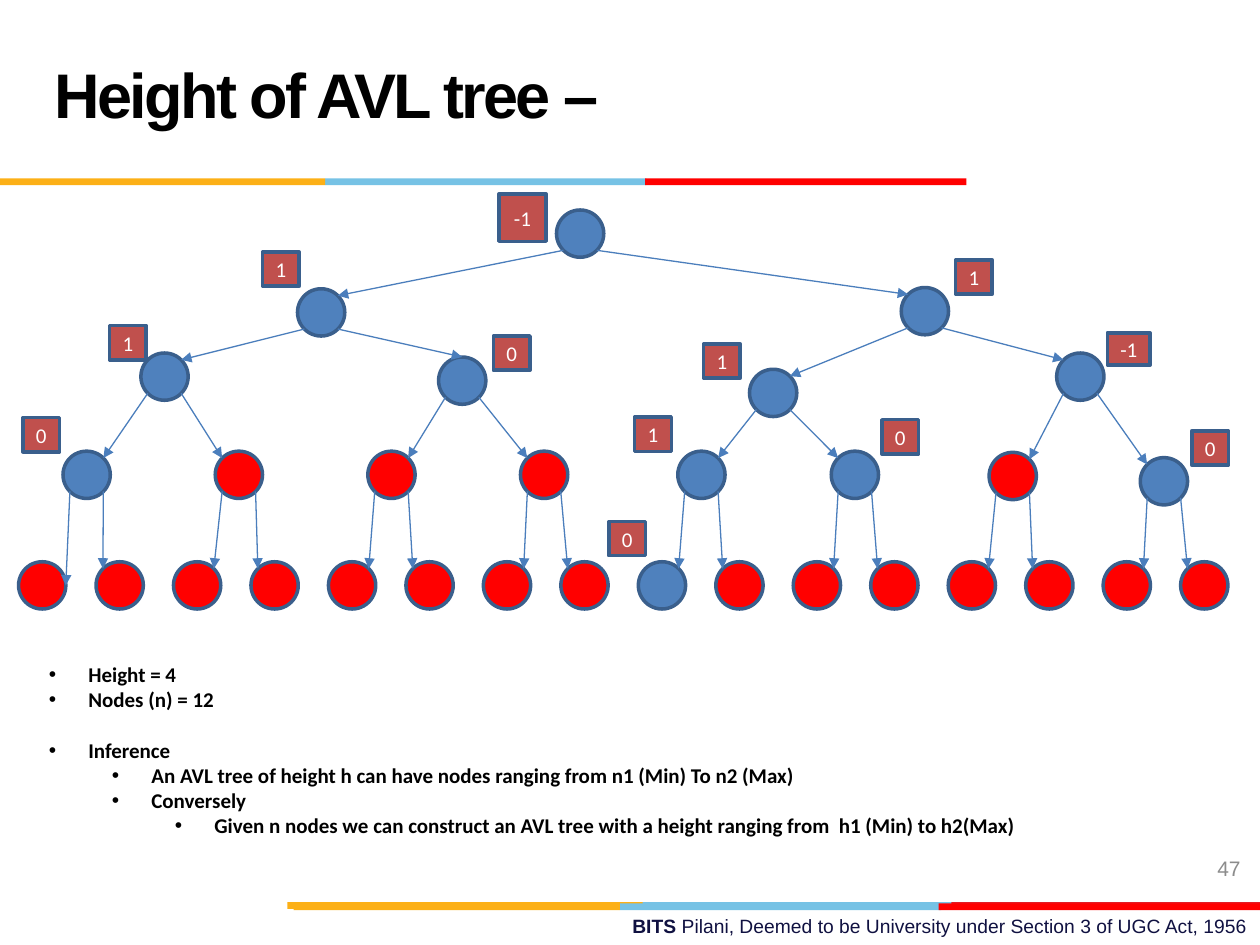
from dataclasses import dataclass

from lxml import etree
from pptx import Presentation
from pptx.dml.color import RGBColor
from pptx.enum.dml import MSO_LINE
from pptx.enum.shapes import MSO_CONNECTOR, MSO_SHAPE
from pptx.enum.text import MSO_ANCHOR, PP_ALIGN
from pptx.oxml.ns import qn
from pptx.util import Pt

CIRCLE, RECT = MSO_SHAPE.FLOWCHART_CONNECTOR, MSO_SHAPE.RECTANGLE
STRAIGHT, SOLID = MSO_CONNECTOR.STRAIGHT, MSO_LINE.SOLID
LEFT, CENTER, RIGHT = PP_ALIGN.LEFT, PP_ALIGN.CENTER, PP_ALIGN.RIGHT
TOP, MIDDLE = MSO_ANCHOR.TOP, MSO_ANCHOR.MIDDLE

COLORS = {
    "present": "4F81BD", "absent": "FF0000", "outline": "3A5F8C",
    "edge": "4B7EBC", "balance": "C0504D", "white": "FFFFFF",
    "black": "000000", "navy": "101141", "grey": "8C8C8C",
    "gold": "FCB017", "sky": "76C2E5", "red": "FF0000", "crimson": "E31C24",
}
FORMATS = {
    "title": {"name": "Arial", "size": Pt(36), "bold": True},
    "footer": {"name": "Arial", "size": Pt(11), "bold": False},
    "number": {"name": "Arial", "size": Pt(12), "bold": False},
    "notes": {"name": "Calibri", "size": Pt(12), "bold": True},
    "balance": {"name": "Calibri", "size": Pt(12), "bold": False},
}
NODE_SIZE = 27
CORNER_INSET = NODE_SIZE * (1 - 0.5 ** 0.5) / 2
BAR_HEIGHT = 3.9
BULLET_HANG = 22.5
LEVEL_STEP = 36


@dataclass
class Bar:
    left: float
    top: float
    width: float
    color: str


@dataclass
class Node:
    left: float
    top: float
    color: str = "present"

    def corner(self, right: bool, bottom: bool) -> tuple[float, float]:
        """Point on the circle's diagonal."""
        far = NODE_SIZE - CORNER_INSET
        return (self.left + (far if right else CORNER_INSET),
                self.top + (far if bottom else CORNER_INSET))


@dataclass
class Balance:
    factor: str
    left: float
    top: float
    width: float = 21
    height: float = 19.6


@dataclass
class Note:
    text: str
    level: int = 0
    space_before: float = 0


BARS = [
    Bar(364.3, 515.5, 183.6, "sky"), Bar(543.6, 515.5, 176.4, "crimson"),
    Bar(164.2, 515.5, 203, "gold"),
    Bar(354.2, 516.2, 183.6, "sky"), Bar(167.8, 516.2, 186.4, "gold"),
    Bar(536.4, 516.2, 183.6, "red"),
    Bar(185.8, 101.9, 183.6, "sky"), Bar(0, 101.9, 185.8, "gold"),
    Bar(368.6, 101.9, 183.6, "red"),
]
TREE = [
    [Node(318, 120)],
    [Node(170, 165), Node(515, 164.3)],
    [Node(80.5, 201.7), Node(250.6, 204), Node(428.3, 211), Node(603.8, 201.7)],
    [Node(36, 257.8), Node(123, 257.8, "absent"), Node(210.2, 257.8, "absent"),
     Node(297.4, 257.8, "absent"), Node(387.3, 257.8), Node(475, 257.8),
     Node(565.2, 258.5, "absent"), Node(651.6, 261.5)],
    [Node(10.6 + 44.27 * k, 321, "present" if k == 8 else "absent")
     for k in range(16)],
]
# Arrows that end at the middle of a side instead of a corner: (level, index)
SIDE_ENDS = {(2, 1): (0.5, 0), (4, 0): (1, 0.5)}
BALANCES = [
    Balance("0", 13.1, 238.6), Balance("0", 347.9, 298),
    Balance("0", 503.9, 239.8), Balance("0", 681, 246.2),
    Balance("1", 62.6, 186), Balance("1", 362.6, 238.4),
    Balance("0", 281.9, 192), Balance("1", 150, 144),
    Balance("1", 402, 196.5), Balance("1", 546, 148.5),
    Balance("-1", 632.8, 190.2, 24.5, 18.4),
    Balance("-1", 285, 110.9, 27, 27),
]
NOTES = [
    Note("Height = 4"), Note("Nodes (n) = 12"),
    Note("Inference", space_before=14.6),
    Note("An AVL tree of height h can have nodes ranging from n1 (Min) To n2 (Max)", 1),
    Note("Conversely", 1),
    Note("Given n nodes we can construct an AVL tree with a height ranging from  h1 (Min) to h2(Max)", 2),
]


def rgb(color: str) -> RGBColor:
    return RGBColor.from_string(COLORS[color])


def style_font(font, style: str, color: str) -> None:
    for attribute, value in FORMATS[style].items():
        setattr(font, attribute, value)
    font.color.rgb = rgb(color)


def add_filled(slide, preset, left, top, width, height, color, outlined=True):
    shape = slide.shapes.add_shape(preset, Pt(left), Pt(top), Pt(width), Pt(height))
    shape.shadow.inherit = False
    shape.fill.solid()
    shape.fill.fore_color.rgb = rgb(color)
    if outlined:
        shape.line.color.rgb = rgb("outline")
        shape.line.width = Pt(2)
    else:
        shape.line.fill.background()
    return shape


def add_text(slide, left, top, width, height, anchor=TOP, align=LEFT):
    """Add a wrapping text box and return its frame."""
    frame = slide.shapes.add_textbox(Pt(left), Pt(top), Pt(width), Pt(height)).text_frame
    frame.word_wrap = True
    frame.vertical_anchor = anchor
    frame.paragraphs[0].alignment = align
    return frame


def add_run(paragraph, text: str, style: str, color: str):
    run = paragraph.add_run()
    run.text = text
    style_font(run.font, style, color)
    return run


def add_edge(slide, start: tuple[float, float], end: tuple[float, float]) -> None:
    edge = slide.shapes.add_connector(STRAIGHT, *(Pt(v) for v in (*start, *end)))
    edge.line.color.rgb = rgb("edge")
    edge.line.width = Pt(0.75)
    edge.line.dash_style = SOLID
    properties = edge._element.spPr
    etree.SubElement(properties.find(qn("a:ln")), qn("a:tailEnd"), type="triangle")
    etree.SubElement(properties, qn("a:effectLst"))


def draw_tree(slide) -> None:
    for level, nodes in enumerate(TREE):
        for index, node in enumerate(nodes):
            add_filled(slide, CIRCLE, node.left, node.top, NODE_SIZE, NODE_SIZE, node.color)
            if level == 0:
                continue
            is_right = index % 2 == 1
            parent = TREE[level - 1][index // 2]
            end = node.corner(right=not is_right, bottom=False)
            if (level, index) in SIDE_ENDS:
                across, down = SIDE_ENDS[level, index]
                end = (node.left + across * NODE_SIZE, node.top + down * NODE_SIZE)
            add_edge(slide, parent.corner(right=is_right, bottom=True), end)


def draw_balance(slide, balance: Balance) -> None:
    frame = add_filled(slide, RECT, balance.left, balance.top, balance.width,
                       balance.height, "balance").text_frame
    frame.vertical_anchor = MIDDLE
    frame.word_wrap = False
    paragraph = frame.paragraphs[0]
    paragraph.alignment = CENTER
    add_run(paragraph, balance.factor, "balance", "white")


def draw_notes(slide) -> None:
    frame = add_text(slide, 20.9, 374.4, 666, 108.7)
    for index, note in enumerate(NOTES):
        paragraph = frame.add_paragraph() if index else frame.paragraphs[0]
        paragraph.level = note.level
        properties = paragraph._p.get_or_add_pPr()
        properties.set("marL", str(Pt(BULLET_HANG + LEVEL_STEP * note.level)))
        properties.set("indent", str(-Pt(BULLET_HANG)))
        etree.SubElement(properties, qn("a:buFont"), typeface="Arial")
        etree.SubElement(properties, qn("a:buChar"), char="•")
        if note.space_before:
            paragraph.space_before = Pt(note.space_before)
        add_run(paragraph, note.text, "notes", "black")


def main() -> None:
    deck = Presentation()
    deck.slide_width, deck.slide_height = Pt(720), Pt(540)
    slide = deck.slides.add_slide(deck.slide_layouts[6])

    footer = add_text(slide, 257.8, 519.1, 462.2, 20.9, align=RIGHT).paragraphs[0]
    add_run(footer, "BITS ", "footer", "navy").font.bold = True
    add_run(footer, "Pilani, Deemed to be University under Section 3 of UGC Act, 1956",
            "footer", "navy")
    for bar in BARS:
        add_filled(slide, RECT, bar.left, bar.top, bar.width, BAR_HEIGHT, bar.color, False)

    title = add_text(slide, 24, 12, 498, 90, MIDDLE).paragraphs[0]
    title.line_spacing = Pt(36)
    heading = add_run(title, "Height of AVL tree –", "title", "black")
    heading.font._element.set("spc", "-150")
    number = add_text(slide, 548, 481.7, 168, 28.8, MIDDLE, RIGHT).paragraphs[0]
    add_run(number, "47", "number", "grey")

    draw_tree(slide)
    draw_notes(slide)
    for balance in BALANCES:
        draw_balance(slide, balance)
    deck.save("out.pptx")


if __name__ == "__main__":
    main()
